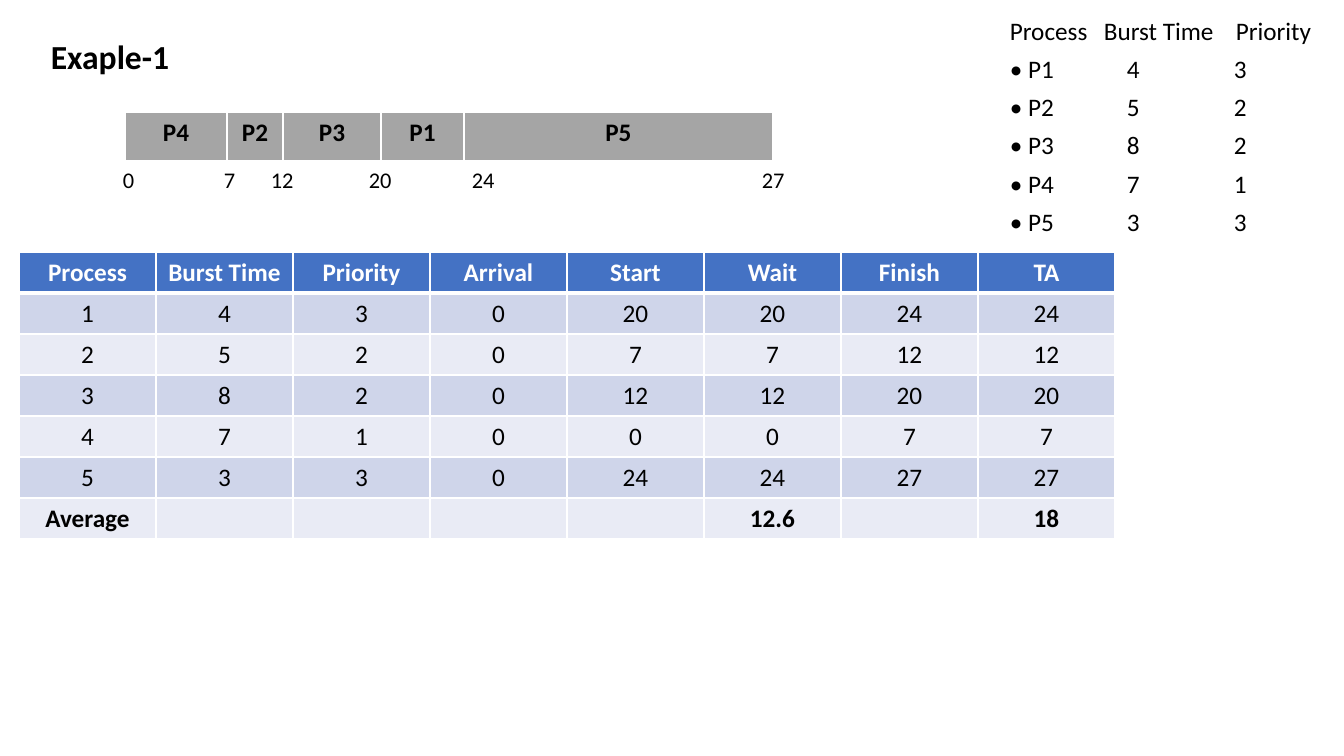
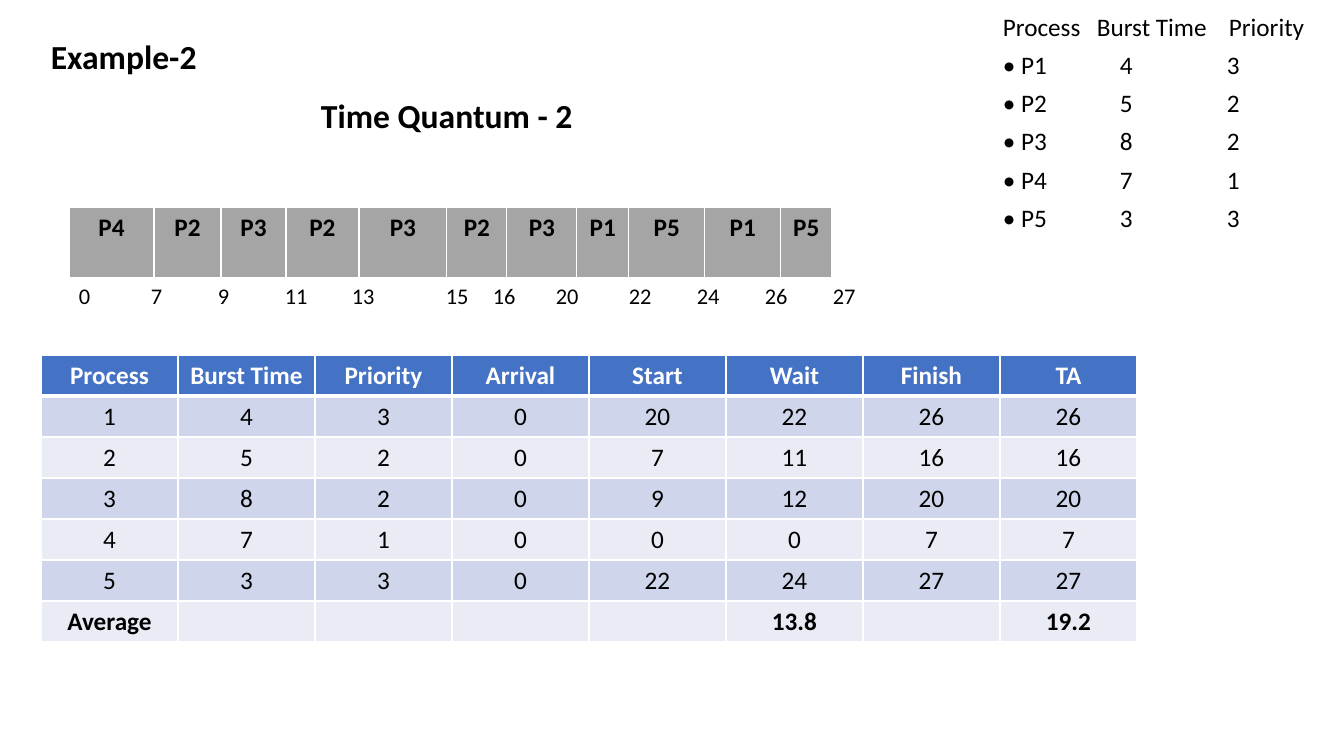
from dataclasses import dataclass

from lxml import etree
from pptx import Presentation
from pptx.dml.color import RGBColor
from pptx.enum.text import MSO_AUTO_SIZE, PP_ALIGN
from pptx.oxml.ns import qn
from pptx.util import Emu, Pt

CENTER = PP_ALIGN.CENTER
GROW = MSO_AUTO_SIZE.SHAPE_TO_FIT_TEXT
PIXEL = 914400 / 100.8
FONT = "Calibri"
COLORS = {
    "text": "000000",
    "header_text": "FFFFFF",
    "border": "FFFFFF",
    "gantt": "A5A5A5",
    "header": "4472C4",
    "odd_row": "CFD5EA",
    "even_row": "E9EBF5",
}
THIN, THICK = 1, 3
BLANK_LAYOUT = 6
COLUMN_WIDTH, ROW_HEIGHT = 137, 41
HEADINGS = ["Process", "Burst Time", "Priority", "Arrival", "Start", "Wait", "Finish", "TA"]
JOBS = [(1, 4, 3), (2, 5, 2), (3, 8, 2), (4, 7, 1), (5, 3, 3)]
ARRIVAL = 0
JOB_HEADING_STOPS = [94, 226]
JOB_STOPS = [117, 224]


@dataclass
class Area:
    """A rectangle in pixels."""
    left: int
    top: int
    width: int
    height: int


@dataclass
class Label:
    """A bold heading and its place."""
    text: str
    area: Area


@dataclass
class Gantt:
    """A bar of process slots with a time axis below."""
    left: int
    top: int
    height: int
    slots: list[tuple[str, int]]
    axis_area: Area
    axis_spacing: float
    times: list[int]
    stops: list[int]


@dataclass
class Example:
    """One scheduling example; each result is start, wait, finish and turnaround."""
    labels: list[Label]
    gantt: Gantt
    jobs_area: Area
    table_left: int
    table_top: int
    results: list[tuple[int, int, int, int]]
    average_wait: str
    average_turnaround: str


def px(length: int) -> Emu:
    """Turn pixels into EMU."""
    return Emu(round(length * PIXEL))


def place(area: Area) -> list[Emu]:
    """Give the position and size of an area in EMU."""
    return [px(side) for side in (area.left, area.top, area.width, area.height)]


def style_font(para, size: int, bold: bool = False, color: str = "text") -> None:
    """Set the font of a whole paragraph."""
    para.font.name = FONT
    para.font.size = Pt(size)
    para.font.bold = bold
    para.font.color.rgb = RGBColor.from_string(COLORS[color])


def add_tab_stops(para, stops: list[int]) -> None:
    """Add left tab stops to a paragraph."""
    tabs = etree.SubElement(para._p.get_or_add_pPr(), qn("a:tabLst"))
    for stop in stops:
        etree.SubElement(tabs, qn("a:tab"), pos=str(px(stop)), algn="l")


def add_label(page, label: Label) -> None:
    """Draw a bold heading."""
    frame = page.shapes.add_textbox(*place(label.area)).text_frame
    frame.word_wrap = True
    frame.auto_size = GROW
    frame.text = label.text
    style_font(frame.paragraphs[0], 24, bold=True)


def add_tabbed_text(page, area: Area, lines: list[tuple[list, list[int]]],
                    size: int, spacing: float) -> None:
    """Draw lines whose entries are aligned on tab stops."""
    frame = page.shapes.add_textbox(*place(area)).text_frame
    frame.word_wrap = True
    for index, (entries, stops) in enumerate(lines):
        para = frame.add_paragraph() if index else frame.paragraphs[0]
        para.text = "\t".join(map(str, entries))
        add_tab_stops(para, stops)
        para.line_spacing = spacing
        para.space_before = Pt(10)
        style_font(para, size)


def add_borders(cell, top: int, bottom: int) -> None:
    """Draw the four borders of a cell."""
    properties = cell._tc.get_or_add_tcPr()
    for side, width in (("L", THIN), ("R", THIN), ("T", top), ("B", bottom)):
        line = etree.SubElement(properties, qn(f"a:ln{side}"), w=str(Pt(width)))
        fill = etree.SubElement(line, qn("a:solidFill"))
        etree.SubElement(fill, qn("a:srgbClr"), val=COLORS["border"])


def style_cell(cell, text: str, fill: str, bold: bool, color: str = "text",
               top: int = THIN, bottom: int = THIN) -> None:
    """Fill a cell with centred text, borders and a colour."""
    cell.text = text
    para = cell.text_frame.paragraphs[0]
    para.alignment = CENTER
    style_font(para, 18, bold, color)
    add_borders(cell, top, bottom)
    cell.fill.solid()
    cell.fill.fore_color.rgb = RGBColor.from_string(COLORS[fill])


def add_grid(page, left: int, top: int, widths: list[int], heights: list[int]):
    """Add a plain table with the given column widths and row heights."""
    area = Area(left, top, sum(widths), sum(heights))
    table = page.shapes.add_table(len(heights), len(widths), *place(area)).table
    table.first_row = False
    table.horz_banding = False
    for column, width in zip(table.columns, widths):
        column.width = px(width)
    for row, height in zip(table.rows, heights):
        row.height = px(height)
    return table


def add_gantt(page, gantt: Gantt) -> None:
    """Draw the process slots and their time axis."""
    widths = [width for _, width in gantt.slots]
    table = add_grid(page, gantt.left, gantt.top, widths, [gantt.height])
    for index, (name, _) in enumerate(gantt.slots):
        style_cell(table.cell(0, index), name, "gantt", bold=True, bottom=THICK)
    add_tabbed_text(page, gantt.axis_area, [(gantt.times, gantt.stops)], 16, gantt.axis_spacing)


def add_results(page, example: Example) -> None:
    """Draw the table of results with its average row."""
    rows = [HEADINGS]
    rows += [[*job, ARRIVAL, *result] for job, result in zip(JOBS, example.results)]
    rows.append(["Average", "", "", "", "", example.average_wait, "", example.average_turnaround])
    table = add_grid(page, example.table_left, example.table_top,
                     [COLUMN_WIDTH] * len(HEADINGS), [ROW_HEIGHT] * len(rows))
    last = len(rows) - 1
    for row, values in enumerate(rows):
        band = "odd_row" if row % 2 else "even_row"
        for column, value in enumerate(values):
            style_cell(table.cell(row, column), str(value),
                       fill=band if row else "header",
                       bold=row in (0, last),
                       color="text" if row else "header_text",
                       top=THICK if row == 1 else THIN,
                       bottom=THIN if row else THICK)


def add_jobs(page, area: Area) -> None:
    """Draw the list of processes with burst time and priority."""
    lines = [(HEADINGS[:3], JOB_HEADING_STOPS)]
    lines += [([f"• P{number}", burst, priority], JOB_STOPS) for number, burst, priority in JOBS]
    add_tabbed_text(page, area, lines, 18, 0.8)


def add_example(deck, example: Example) -> None:
    """Add one example slide."""
    page = deck.slides.add_slide(deck.slide_layouts[BLANK_LAYOUT])
    for label in example.labels:
        add_label(page, label)
    add_gantt(page, example.gantt)
    add_results(page, example)
    add_jobs(page, example.jobs_area)


EXAMPLES = [
    Example(
        labels=[Label("Exaple-1", Area(41, 31, 631, 50))],
        gantt=Gantt(
            left=125, top=112, height=50,
            slots=[("P4", 102), ("P2", 56), ("P3", 98), ("P1", 83), ("P5", 309)],
            axis_area=Area(113, 166, 1155, 55), axis_spacing=0.8,
            times=[0, 7, 12, 20, 24, 27],
            stops=[101, 148, 246, 349, 639],
        ),
        jobs_area=Area(1000, 16, 344, 243),
        table_left=19, table_top=252,
        results=[(20, 20, 24, 24), (7, 7, 12, 12), (12, 12, 20, 20), (0, 0, 7, 7),
                 (24, 24, 27, 27)],
        average_wait="12.6", average_turnaround="18",
    ),
    Example(
        labels=[Label("Example-2", Area(41, 31, 187, 50)),
                Label("Time Quantum - 2", Area(311, 90, 288, 50))],
        gantt=Gantt(
            left=69, top=207, height=72,
            slots=[("P4", 85), ("P2", 67), ("P3", 65), ("P2", 73), ("P3", 88), ("P2", 60),
                   ("P3", 70), ("P1", 52), ("P5", 76), ("P1", 76), ("P5", 51)],
            axis_area=Area(69, 280, 851, 73), axis_spacing=0.9,
            times=[0, 7, 9, 11, 13, 15, 16, 20, 22, 24, 26, 27],
            stops=[72, 139, 206, 273, 367, 414, 477, 550, 618, 686, 754],
        ),
        jobs_area=Area(993, 12, 345, 243),
        table_left=41, table_top=355,
        results=[(20, 22, 26, 26), (7, 11, 16, 16), (9, 12, 20, 20), (0, 0, 7, 7),
                 (22, 24, 27, 27)],
        average_wait="13.8", average_turnaround="19.2",
    ),
]


def main() -> None:
    """Build and save the deck."""
    deck = Presentation()
    deck.slide_width = px(1344)
    deck.slide_height = px(756)
    for example in EXAMPLES:
        add_example(deck, example)
    deck.save("out.pptx")


main()
